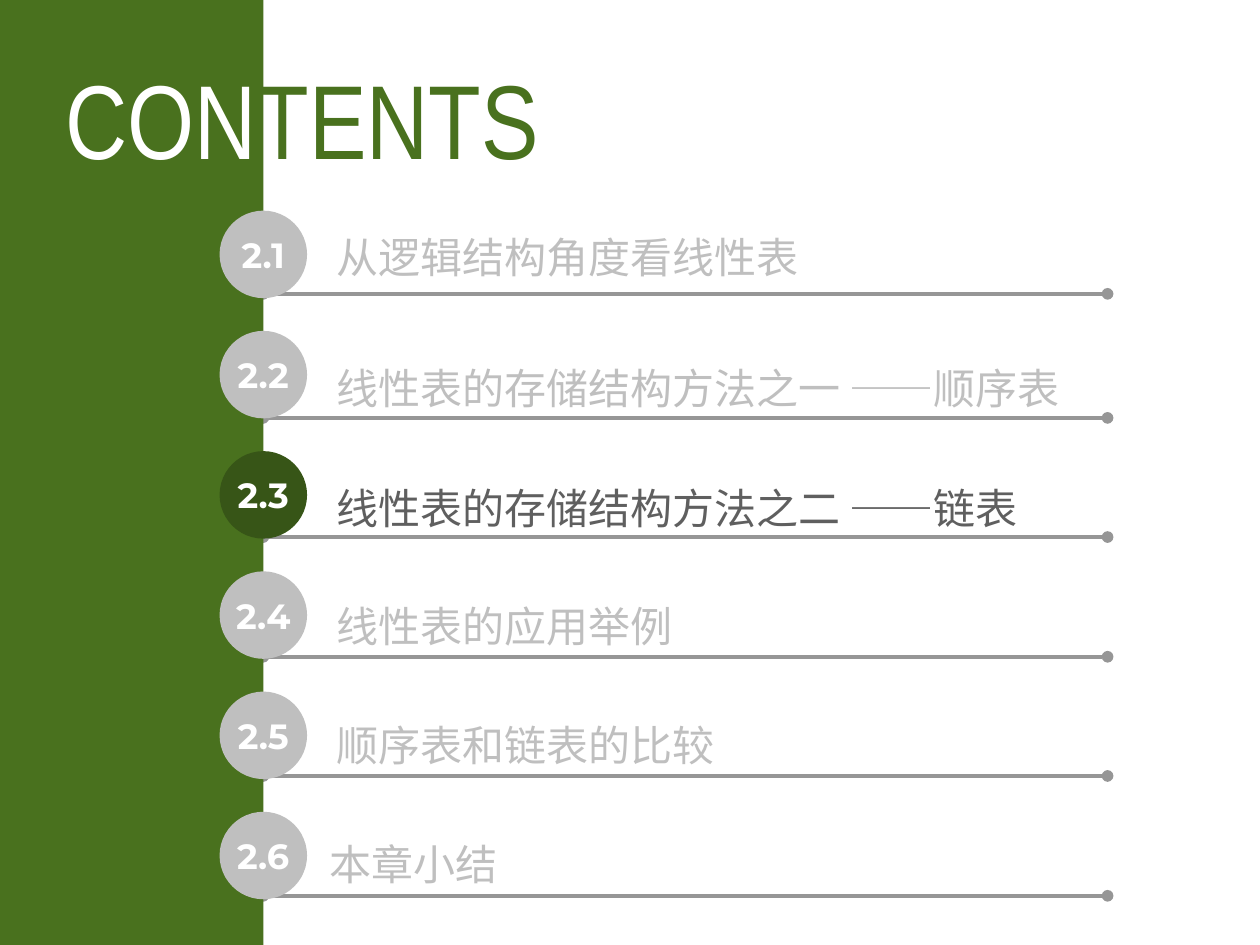
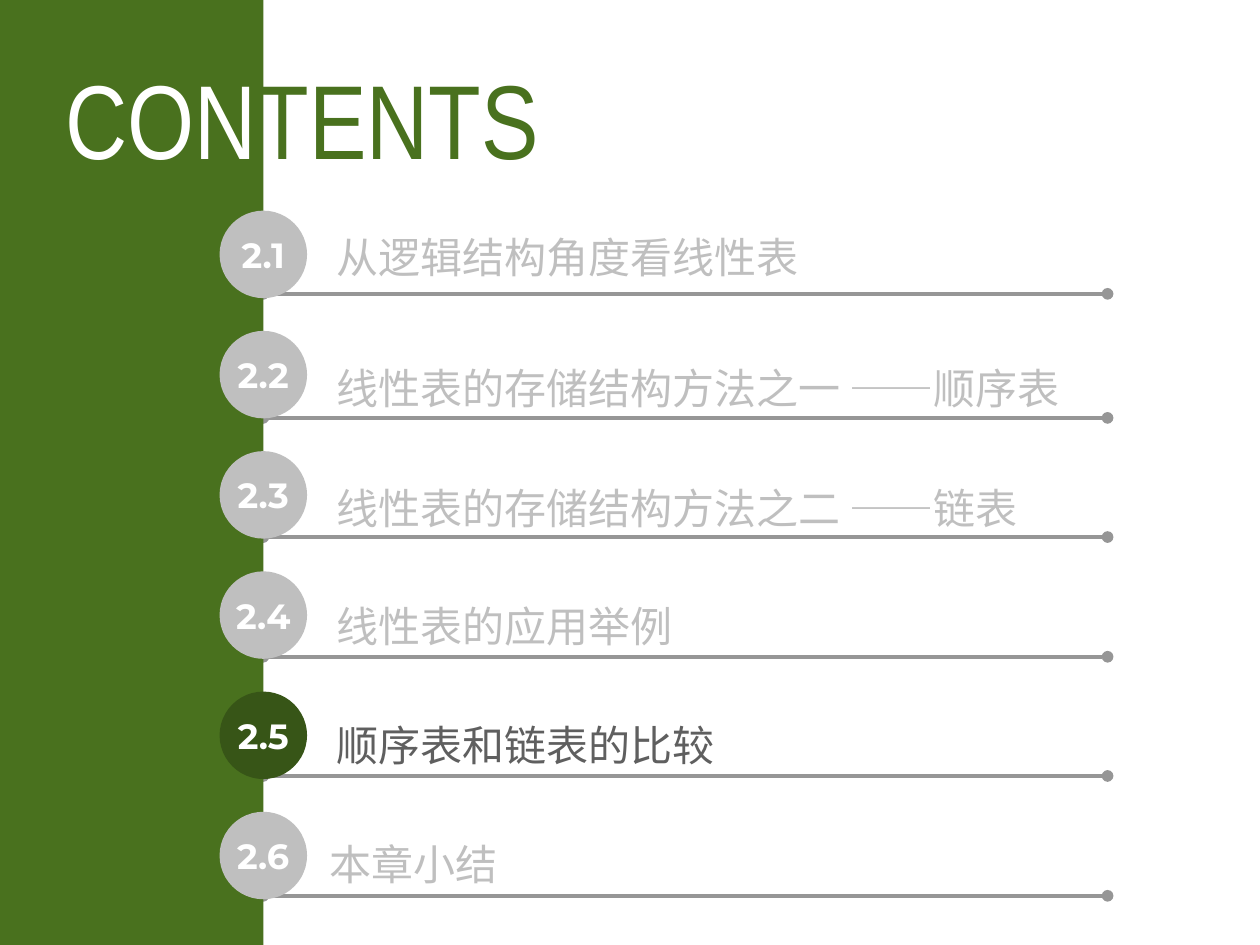
from dataclasses import dataclass

from lxml.etree import SubElement
from pptx import Presentation
from pptx.dml.color import RGBColor
from pptx.enum.lang import MSO_LANGUAGE_ID
from pptx.enum.shapes import MSO_CONNECTOR, MSO_SHAPE
from pptx.enum.text import MSO_ANCHOR, PP_ALIGN
from pptx.oxml.ns import qn
from pptx.util import Pt


@dataclass(frozen=True)
class Theme:
    band: str = "49711E"
    active_circle: str = "375517"
    active_text: str = "5F5F5F"
    muted: str = "BFBFBF"
    rule: str = "969696"
    white: str = "FFFFFF"
    title_font: str = "Arial Narrow"
    number_font: str = "Montserrat"
    entry_font: str = "Noto Sans CJK JP"
    title_size: float = 60
    number_size: float = 20
    entry_size: float = 24
    rule_width: float = 2.25


@dataclass(frozen=True)
class Entry:
    number: str
    title: str
    left: float
    top: float
    width: float
    rule_top: float


SLIDE_WIDTH, SLIDE_HEIGHT = 720, 540
BAND_WIDTH = 150.5
RULE_RIGHT = 632.9
CIRCLE_LEFT, CIRCLE_TOP, CIRCLE_SIZE = 125.5, 120.4, 50
CIRCLE_PITCH = 68.7
ENTRY_HEIGHT = 28.8

ENTRIES = [
    Entry("2.1", "从逻辑结构角度看线性表", 185, 132.5, 310, 167.9),
    Entry("2.2", "线性表的存储结构方法之一 ——顺序表", 185, 207.4, 476, 238.8),
    Entry("2.3", "线性表的存储结构方法之二 ——链表", 185, 275.8, 476, 306.9),
    Entry("2.4", "线性表的应用举例", 185, 342.9, 310, 375.3),
    Entry("2.5", "顺序表和链表的比较", 185, 411.1, 310, 443.4),
    Entry("2.6", "本章小结", 181.4, 479, 310, 511.9),
]
ACTIVE_NUMBERS = ["2.3", "2.5"]


class ContentsDeck:
    """Draws contents slides, each with one highlighted entry."""

    def __init__(self, theme):
        self.theme = theme
        self.presentation = Presentation()
        self.presentation.slide_width = Pt(SLIDE_WIDTH)
        self.presentation.slide_height = Pt(SLIDE_HEIGHT)
        self.slide = None

    def add_slide(self):
        self.slide = self.presentation.slides.add_slide(self.presentation.slide_layouts[6])

    def style_run(self, run, font, size, color, bold=False):
        run.font.name = font
        run.font.size = Pt(size)
        run.font.bold = bold
        run.font.color.rgb = RGBColor.from_string(color)

    def add_rule(self, top):
        connector = self.slide.shapes.add_connector(
            MSO_CONNECTOR.STRAIGHT, Pt(BAND_WIDTH), Pt(top), Pt(RULE_RIGHT), Pt(top))
        connector.line.color.rgb = RGBColor.from_string(self.theme.rule)
        connector.line.width = Pt(self.theme.rule_width)
        properties = connector.element.spPr
        line = properties.find(qn("a:ln"))
        for end in ("a:headEnd", "a:tailEnd"):
            SubElement(line, qn(end), type="oval")
        SubElement(properties, qn("a:effectLst"))

    def add_filled(self, kind, left, top, width, height, color):
        shape = self.slide.shapes.add_shape(kind, Pt(left), Pt(top), Pt(width), Pt(height))
        shape.shadow.inherit = False
        shape.fill.solid()
        shape.fill.fore_color.rgb = RGBColor.from_string(color)
        shape.line.fill.background()
        return shape

    def add_text_frame(self, left, top, width, height):
        text_box = self.slide.shapes.add_textbox(Pt(left), Pt(top), Pt(width), Pt(height))
        text_frame = text_box.text_frame
        text_frame.word_wrap = True
        text_frame.vertical_anchor = MSO_ANCHOR.MIDDLE
        return text_frame

    def add_title(self):
        paragraph = self.add_text_frame(-2.9, 25.2, 351.4, 83.5).paragraphs[0]
        paragraph.alignment = PP_ALIGN.CENTER
        for text, color in (("CON", self.theme.white), ("TENTS", self.theme.band)):
            run = paragraph.add_run()
            run.text = text
            self.style_run(run, self.theme.title_font, self.theme.title_size, color)

    def add_circle(self, number, top, color):
        circle = self.add_filled(
            MSO_SHAPE.OVAL, CIRCLE_LEFT, top, CIRCLE_SIZE, CIRCLE_SIZE, color)
        text_frame = circle.text_frame
        text_frame.margin_left = text_frame.margin_right = 0
        text_frame.margin_top = text_frame.margin_bottom = 0
        text_frame.vertical_anchor = MSO_ANCHOR.MIDDLE
        text_frame.text = number
        paragraph = text_frame.paragraphs[0]
        paragraph.alignment = PP_ALIGN.CENTER
        self.style_run(paragraph.runs[0], self.theme.number_font,
                       self.theme.number_size, self.theme.white, bold=True)

    def add_entry_title(self, entry, color):
        text_frame = self.add_text_frame(entry.left, entry.top, entry.width, ENTRY_HEIGHT)
        text_frame.text = entry.title
        run = text_frame.paragraphs[0].runs[0]
        self.style_run(run, self.theme.entry_font, self.theme.entry_size, color)
        run.font.language_id = MSO_LANGUAGE_ID.SIMPLIFIED_CHINESE
        SubElement(run.font._element, qn("a:ea"), typeface=self.theme.entry_font)

    def add_contents(self, active_number):
        self.add_slide()
        for entry in ENTRIES:
            self.add_rule(entry.rule_top)
        self.add_filled(MSO_SHAPE.RECTANGLE, 0, 0, BAND_WIDTH, SLIDE_HEIGHT, self.theme.band)
        self.add_title()
        for index, entry in enumerate(ENTRIES):
            active = entry.number == active_number
            circle_color = self.theme.active_circle if active else self.theme.muted
            text_color = self.theme.active_text if active else self.theme.muted
            self.add_circle(entry.number, CIRCLE_TOP + index * CIRCLE_PITCH, circle_color)
            self.add_entry_title(entry, text_color)


def main():
    deck = ContentsDeck(Theme())
    for active_number in ACTIVE_NUMBERS:
        deck.add_contents(active_number)
    deck.presentation.save("out.pptx")


if __name__ == "__main__":
    main()
